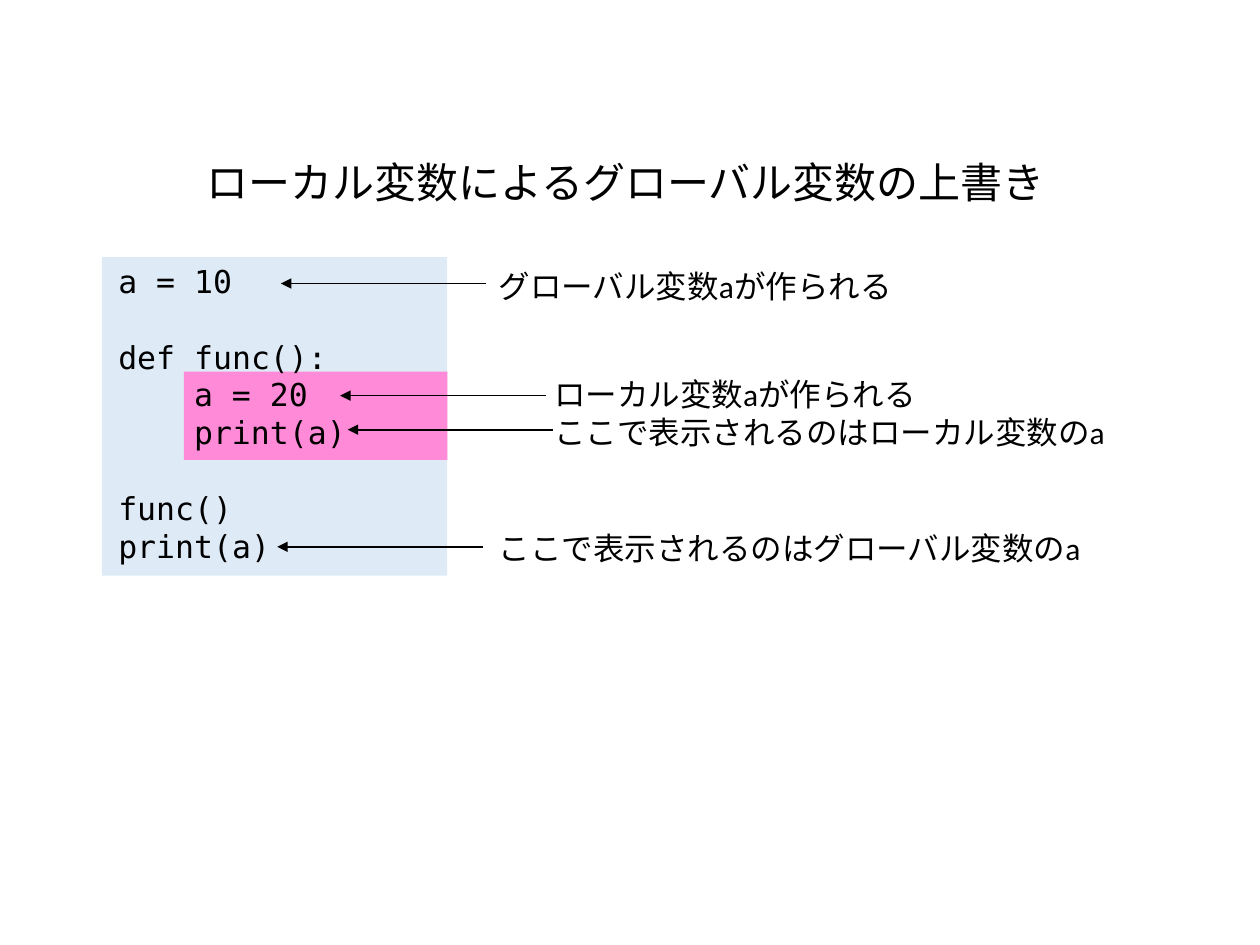
import dataclasses
import typing

import lxml.etree
import pptx
import pptx.dml.color
import pptx.enum.shapes
import pptx.enum.text
import pptx.oxml.ns
import pptx.util


@dataclasses.dataclass(frozen=True)
class Theme:
    ink: str = "000000"
    pale: str = "DEEBF7"
    pink: str = "FF8AD8"
    sans: str = "Calibri"
    mono: str = "DejaVu Sans Mono"
    head: float = 24
    body: float = 18
    pitch: float = 21.6
    tab: float = 43.3
    stroke: float = 1


class Box(typing.NamedTuple):
    col: float
    row: float
    wide: float
    high: float


class Line(typing.NamedTuple):
    text: str
    depth: int = 0
    gap: int = 0


class Panel(typing.NamedTuple):
    box: Box
    fill: str


class Note(typing.NamedTuple):
    box: Box
    lines: list[Line]


class Arrow(typing.NamedTuple):
    col: float
    row: float


COLS, ROWS = 100, 75
REACH = 16.3
THEME = Theme()

deck = pptx.Presentation()
deck.slide_width = pptx.util.Inches(10)
deck.slide_height = pptx.util.Inches(7.5)
slide = deck.slides.add_slide(deck.slide_layouts[6])


def across(col: float) -> int:
    return round(deck.slide_width * col / COLS)


def down(row: float) -> int:
    return round(deck.slide_height * row / ROWS)


def place(box: Box) -> tuple[int, int, int, int]:
    return across(box.col), down(box.row), across(box.wide), down(box.high)


def tint(code: str) -> pptx.dml.color.RGBColor:
    return pptx.dml.color.RGBColor.from_string(code)


def write(box: Box, lines: list[Line], *, font: str = THEME.sans,
          size: float = THEME.body, ink: str = THEME.ink) -> None:
    frame = slide.shapes.add_textbox(*place(box)).text_frame
    frame.word_wrap = True
    frame.auto_size = pptx.enum.text.MSO_AUTO_SIZE.SHAPE_TO_FIT_TEXT
    for spot, line in enumerate(lines):
        para = frame.add_paragraph() if spot else frame.paragraphs[0]
        if line.gap:
            para.space_before = pptx.util.Pt(line.gap * THEME.pitch)
        if line.depth:
            inset = pptx.util.Pt(line.depth * THEME.tab)
            para._p.get_or_add_pPr().set("marL", str(inset))
        run = para.add_run()
        run.text = line.text
        run.font.name = font
        run.font.size = pptx.util.Pt(size)
        run.font.color.rgb = tint(ink)


def paint(panel: Panel) -> None:
    kind = pptx.enum.shapes.MSO_SHAPE.RECTANGLE
    shape = slide.shapes.add_shape(kind, *place(panel.box))
    shape.shadow.inherit = False
    shape.fill.solid()
    shape.fill.fore_color.rgb = tint(panel.fill)
    shape.line.fill.background()


def point(arrow: Arrow) -> None:
    kind = pptx.enum.shapes.MSO_CONNECTOR.STRAIGHT
    level = down(arrow.row)
    link = slide.shapes.add_connector(
        kind, across(arrow.col + REACH), level, across(arrow.col), level)
    link.line.color.rgb = tint(THEME.ink)
    link.line.width = pptx.util.Pt(THEME.stroke)
    name = pptx.oxml.ns.qn
    tip = lxml.etree.SubElement(link.line._get_or_add_ln(), name("a:tailEnd"))
    tip.set("type", "triangle")
    lxml.etree.SubElement(link._element.spPr, name("a:effectLst"))


panels = [
    Panel(Box(8.1, 20.4, 27.4, 25.3), THEME.pale),
    Panel(Box(14.6, 29.5, 20.9, 7), THEME.pink),
]
code = [
    Line("a = 10"),
    Line("def func():", gap=1),
    Line("a = 20", depth=1),
    Line("print(a)", depth=1),
    Line("func()", gap=1),
    Line("print(a)"),
]
notes = [
    Note(Box(38.6, 20.7, 33.5, 4), [Line("グローバル変数aが作られる")]),
    Note(Box(43, 29.3, 46.1, 7.1), [
        Line("ローカル変数aが作られる"),
        Line("ここで表示されるのはローカル変数のa"),
    ]),
    Note(Box(38.6, 41.5, 48.7, 4),
         [Line("ここで表示されるのはグローバル変数のa")]),
]
arrows = [Arrow(22.3, 22.5), Arrow(27, 31.4),
          Arrow(27.6, 34.1), Arrow(22, 43.4)]

for panel in panels:
    paint(panel)
write(Box(8.4, 20.3, 33.1, 25.2), code, font=THEME.mono)
write(Box(15.4, 11.9, 69.3, 5),
      [Line("ローカル変数によるグローバル変数の上書き")], size=THEME.head)
for note in notes:
    write(note.box, note.lines)
for arrow in arrows:
    point(arrow)

deck.save("out.pptx")
